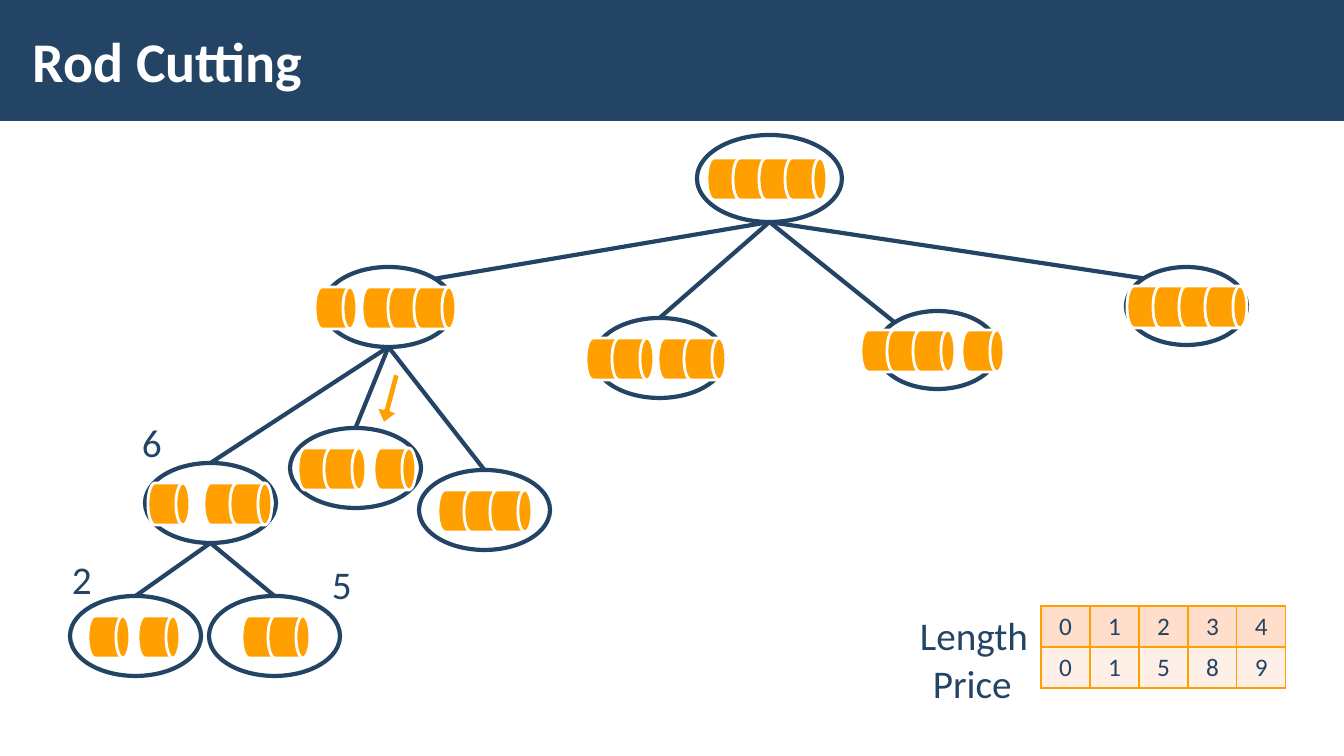
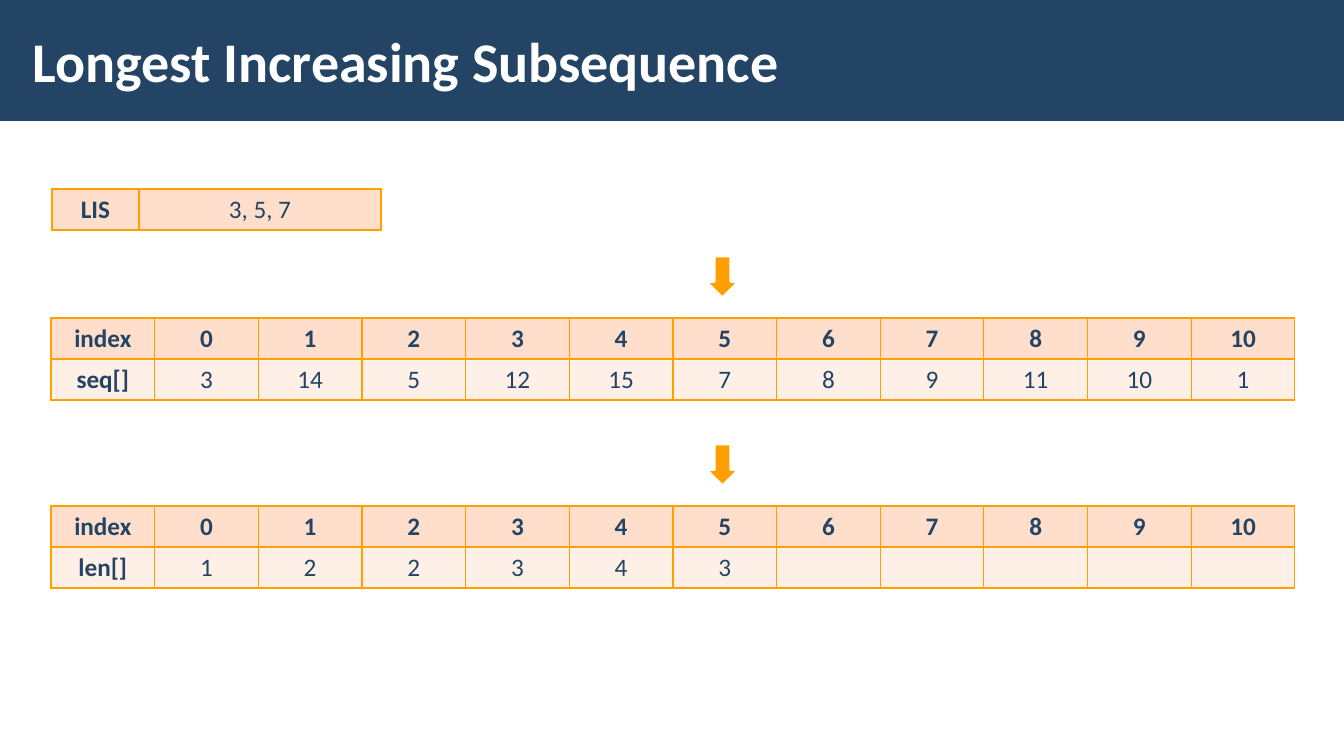
from collections import namedtuple

from lxml.etree import SubElement
from pptx import Presentation
from pptx.dml.color import RGBColor
from pptx.enum.shapes import MSO_CONNECTOR, MSO_SHAPE
from pptx.enum.text import MSO_ANCHOR, PP_ALIGN
from pptx.oxml.ns import qn
from pptx.util import Emu, Pt

Box = namedtuple("Box", "left top width height")
Node = namedtuple("Node", "box pieces parent site")

EMU_PER_PX = 914400 / 100.8
PAGE = Box(0, 0, 1344, 756)
FONT = "Calibri"
NAVY, ORANGE, WHITE = "234465", "FFA000", "FFFFFF"
HEADER_FILL, BODY_FILL = "FFDFCC", "FFF0E7"
DRUM_SIZE, DRUM_STEP = 42, 26
ROW_HEIGHT = 41
DIAGONAL = 0.146

ROD_TREE = {
    "whole": Node(Box(697, 135, 145, 87), [(10, 4)], None, None),
    "1+3": Node(Box(323, 267, 131, 80), [(-8, 1), (39, 3)], "whole", "right"),
    "2+2": Node(Box(594, 318, 131, 80), [(-8, 2), (64, 2)], "whole", "top"),
    "3+1": Node(Box(877, 311, 121, 78), [(-16, 3), (85, 1)], "whole", "left"),
    "4": Node(Box(1126, 267, 121, 78), [(1, 4)], "whole", "left"),
    "1+2": Node(Box(145, 463, 131, 80), [(3, 1), (59, 2)], "1+3", "top"),
    "3": Node(Box(419, 470, 131, 80), [(19, 3)], "1+3", "top"),
    "2+1": Node(Box(290, 428, 131, 80), [(8, 2), (84, 1)], "1+3", "top"),
    "1+1": Node(Box(70, 596, 131, 80), [(18, 1), (68, 1)], "1+2", "top"),
    "2": Node(Box(209, 596, 131, 80), [(33, 2)], "1+2", "top"),
}
BEST_PRICES = [
    ("6", Box(132, 413, 40, 57)),
    ("2", Box(62, 550, 40, 57)),
    ("5", Box(322, 555, 40, 57)),
]
INDEX_ROW = ["index", *map(str, range(11))]
SEQUENCE = ["seq[]", "3", "14", "5", "12", "15", "7", "8", "9", "11", "10", "1"]
LENGTHS = ["len[]", "1", "2", "2", "3", "4", "3", "", "", "", "", ""]


def px(length):
    """Turn pixels into EMU."""
    return Emu(round(length * EMU_PER_PX))


def place(box):
    """Give the EMU position and size of a box."""
    return [px(length) for length in box]


def color(code):
    """Turn a hex string into a colour."""
    return RGBColor.from_string(code)


def write(frame, text, size=18, ink=NAVY, bold=False, align=PP_ALIGN.LEFT):
    """Write one formatted line into a text frame."""
    para = frame.paragraphs[0]
    para.alignment = align
    span = para.add_run()
    span.text = text
    span.font.name = FONT
    span.font.size = Pt(size)
    span.font.bold = bold
    span.font.color.rgb = color(ink)


def add_label(page, box, text, **style):
    """Add a text box that holds one line."""
    frame = page.shapes.add_textbox(*place(box)).text_frame
    frame.word_wrap = False
    write(frame, text, **style)
    return frame


def add_preset(page, kind, box, fill=ORANGE, line=WHITE, weight=2, alpha=None):
    """Add a flat preset shape."""
    shape = page.shapes.add_shape(kind, *place(box))
    shape.shadow.inherit = False
    shape.fill.solid()
    shape.fill.fore_color.rgb = color(fill)
    if alpha:
        code = shape.fill._xPr.find(f"{qn('a:solidFill')}/{qn('a:srgbClr')}")
        SubElement(code, qn("a:alpha"), val=str(alpha * 1000))
    if line:
        shape.line.color.rgb = color(line)
        shape.line.width = Pt(weight)
    else:
        shape.line.fill.background()
    return shape


def add_header(page, title):
    """Add the title band shared by the slides."""
    add_preset(page, MSO_SHAPE.RECTANGLE, Box(0, 0, PAGE.width, 121), fill=NAVY, line=None)
    frame = add_label(page, Box(21, 11, 1071, 98), title, size=40, ink=WHITE, bold=True)
    frame.word_wrap = True
    frame.vertical_anchor = MSO_ANCHOR.MIDDLE
    frame.margin_left = frame.margin_right = px(12)
    frame.margin_top = frame.margin_bottom = px(4)


def add_node(page, box, pieces):
    """Add an ellipse with its rod pieces and return the ellipse."""
    ellipse = add_preset(page, MSO_SHAPE.OVAL, box, fill=WHITE, line=NAVY, weight=3, alpha=50)
    top = box.top + (box.height - 40) // 2
    for start, count in pieces:
        for step in range(count):
            left = box.left + start + step * DRUM_STEP
            drum = Box(left, top, DRUM_SIZE, DRUM_SIZE)
            add_preset(page, MSO_SHAPE.FLOWCHART_DIRECT_ACCESS_STORAGE, drum)
    return ellipse


def add_branch(page, parent, child, site, ellipse):
    """Draw a line from the foot of the parent to a site on the child."""
    share = {"left": DIAGONAL, "top": 0.5, "right": 1 - DIAGONAL}[site]
    drop = 0 if site == "top" else DIAGONAL
    branch = page.shapes.add_connector(
        MSO_CONNECTOR.STRAIGHT,
        px(parent.left + parent.width / 2),
        px(parent.top + parent.height),
        px(child.left + child.width * share),
        px(child.top + child.height * drop),
    )
    branch.line.color.rgb = color(NAVY)
    branch.line.width = Pt(3)
    SubElement(branch._element.spPr, qn("a:effectLst"))
    if site == "top":
        branch.end_connect(ellipse, 0)


def add_tree(page, tree):
    """Add all the nodes of a tree and the branches between them."""
    ellipses = {name: add_node(page, node.box, node.pieces) for name, node in tree.items()}
    for name, node in tree.items():
        if node.parent:
            add_branch(page, tree[node.parent].box, node.box, node.site, ellipses[name])


def style_cell(cell, fill):
    """Give a cell its borders and its fill."""
    properties = cell._tc.get_or_add_tcPr()
    for side in ("lnL", "lnR", "lnT", "lnB"):
        border = SubElement(properties, qn(f"a:{side}"), w=str(Pt(1)))
        paint = SubElement(border, qn("a:solidFill"))
        SubElement(paint, qn("a:srgbClr"), val=ORANGE)
    cell.fill.solid()
    cell.fill.fore_color.rgb = color(fill)


def add_grid(page, left, top, widths, rows, is_bold):
    """Add a table with a darker first row."""
    box = Box(left, top, sum(widths), ROW_HEIGHT * len(rows))
    table = page.shapes.add_table(len(rows), len(widths), *place(box)).table
    table.first_row = table.horz_banding = False
    for column, width in zip(table.columns, widths):
        column.width = px(width)
    for row, texts in enumerate(rows):
        table.rows[row].height = px(ROW_HEIGHT)
        for column, text in enumerate(texts):
            cell = table.cell(row, column)
            style_cell(cell, BODY_FILL if row else HEADER_FILL)
            if text:
                write(cell.text_frame, text, bold=is_bold(row, column), align=PP_ALIGN.CENTER)


def add_price_table(page, left, top):
    """Add the price of each length with the names of the two rows."""
    add_label(page, Box(left, top, 129, 57), "Length", size=28)
    add_label(page, Box(left + 13, top + 48, 100, 57), "Price", size=28)
    add_grid(page, left + 131, top, [49] * 5, ["01234", "01589"], lambda row, column: False)


def add_array(page, left, top, values):
    """Add an indexed array with the arrow that marks its current item."""
    add_preset(page, MSO_SHAPE.DOWN_ARROW, Box(left + 655, top - 62, 33, 42))
    widths = [1244 / len(values)] * len(values)
    add_grid(page, left, top, widths, [INDEX_ROW, values],
             lambda row, column: row == 0 or column == 0)


def build_rod_cutting(page):
    """Build the slide with the tree of rod cuts."""
    add_header(page, "Rod Cutting")
    add_tree(page, ROD_TREE)
    arrow = add_preset(page, MSO_SHAPE.RIGHT_ARROW, Box(364, 387, 52, 24))
    arrow.rotation = 104.8
    arrow.adjustments[0], arrow.adjustments[1] = 0.32, 0.63
    for price, box in BEST_PRICES:
        add_label(page, box, price, size=28)
    add_price_table(page, 910, 606)


def build_subsequence(page):
    """Build the slide with the sequence and its lengths."""
    add_header(page, "Longest Increasing Subsequence")
    add_grid(page, 52, 189, [87, 242], [["LIS", "3, 5, 7"]], lambda row, column: column == 0)
    add_array(page, 51, 318, SEQUENCE)
    add_array(page, 51, 506, LENGTHS)


def main():
    """Build and save the deck."""
    deck = Presentation()
    deck.slide_width, deck.slide_height = px(PAGE.width), px(PAGE.height)
    for build in (build_rod_cutting, build_subsequence):
        build(deck.slides.add_slide(deck.slide_layouts[6]))
    deck.save("out.pptx")


if __name__ == "__main__":
    main()
